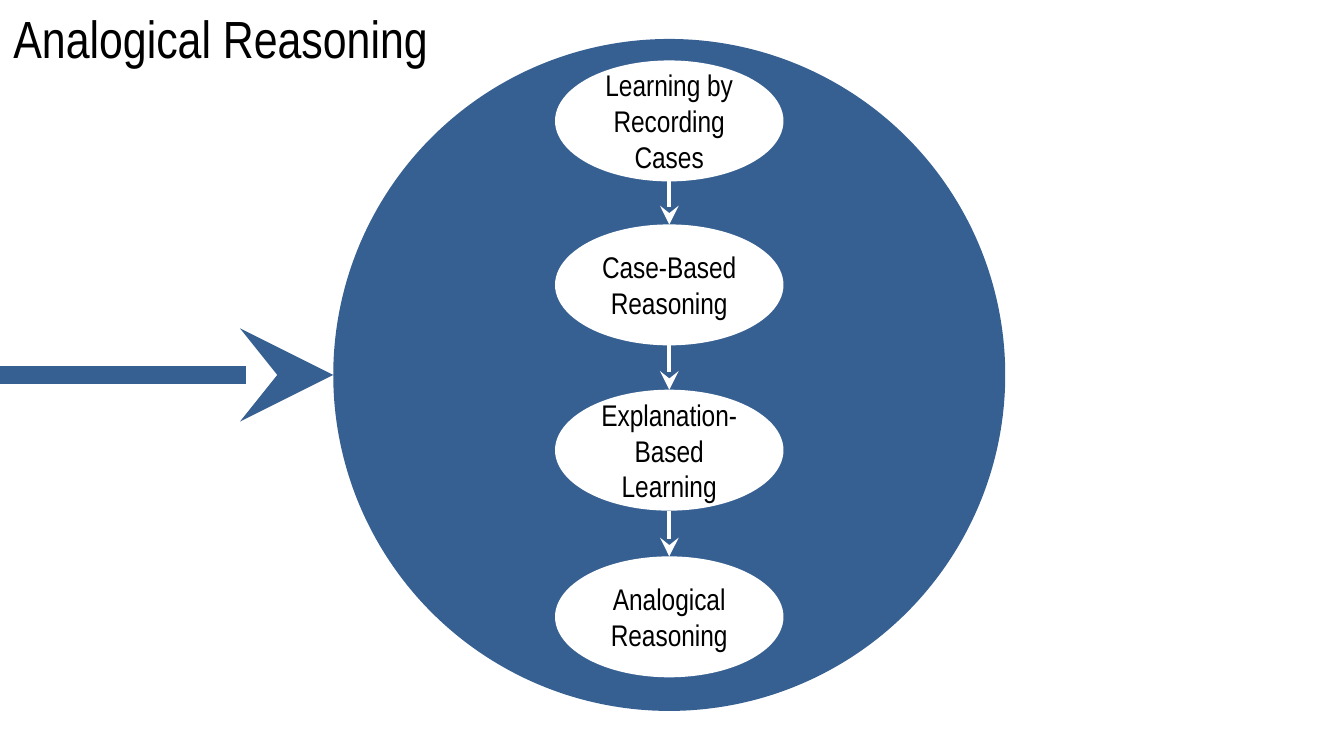
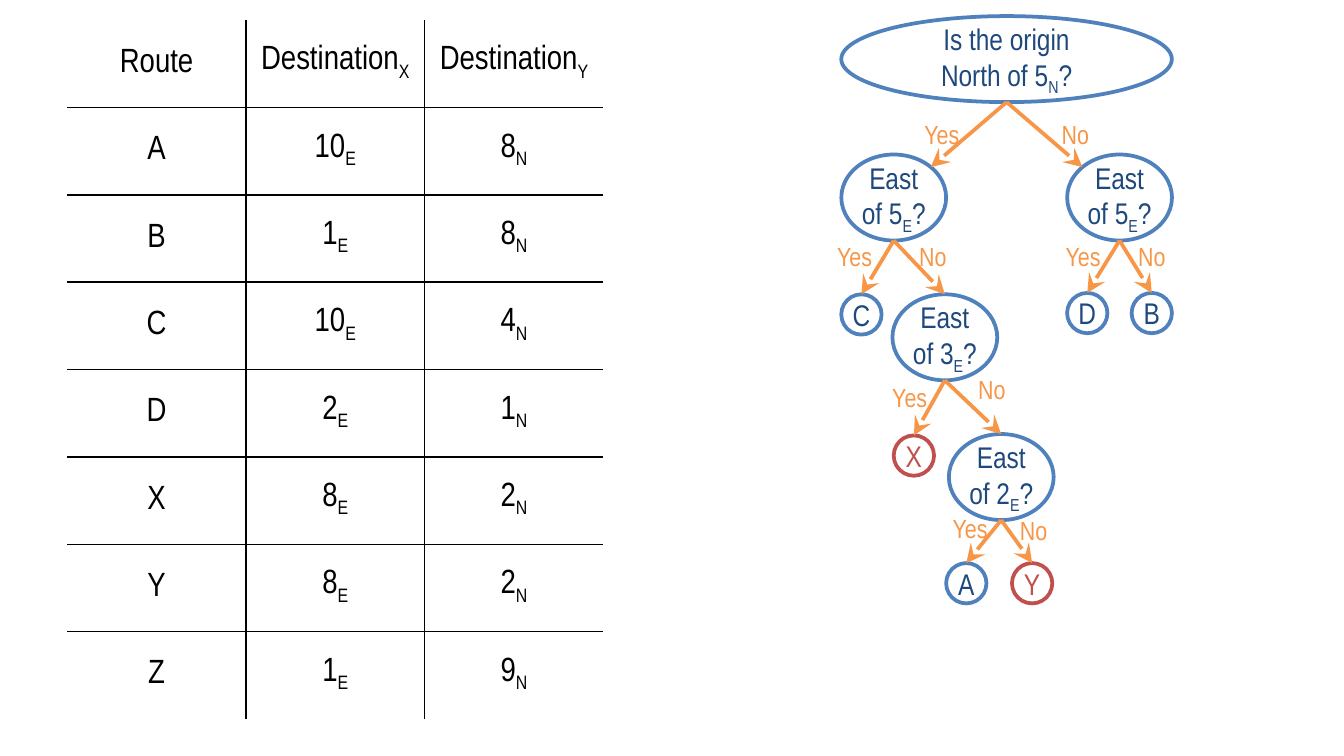
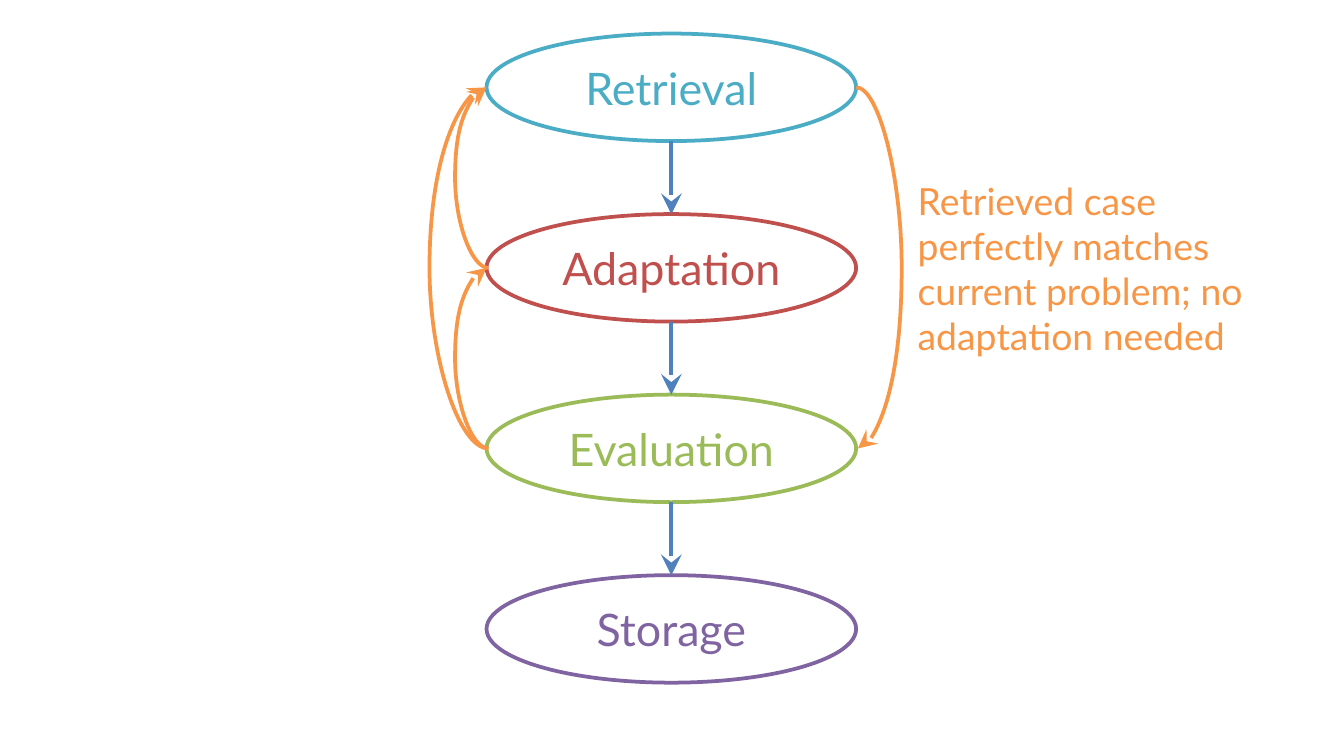
from dataclasses import dataclass
from math import sqrt

from lxml.etree import SubElement
from pptx import Presentation
from pptx.dml.color import RGBColor
from pptx.enum.shapes import MSO_CONNECTOR, MSO_SHAPE
from pptx.enum.text import MSO_ANCHOR, MSO_AUTO_SIZE, PP_ALIGN
from pptx.oxml.ns import qn
from pptx.util import Inches, Pt


# Theme
@dataclass(frozen=True)
class Theme:
    narrow: str = "Arial Narrow"
    sans: str = "Lato"
    black: str = "000000"
    white: str = "FFFFFF"
    navy: str = "376092"
    ink: str = "1F497D"
    blue: str = "4F81BD"
    red: str = "C0504D"
    orange: str = "F79646"
    teal: str = "4BACC6"
    green: str = "9BBB59"
    purple: str = "8064A2"
    title_size: int = 28
    stage_size: int = 24
    note_size: int = 20
    table_size: int = 18
    node_size: int = 16
    label_size: int = 14
    outline: float = 2
    subscript: int = -25000


THEME = Theme()

# Content; "_" lowers the one character after it
TITLE = "Analogical Reasoning"
TOPICS = [("Learning by Recording Cases", 0.45), ("Case-Based Reasoning", 1.67),
          ("Explanation-Based Learning", 2.9), ("Analogical Reasoning", 4.14)]

ROUTES = [
    ("Route", "Destination_X", "Destination_Y"),
    ("A", "10_E", "8_N"),
    ("B", "1_E", "8_N"),
    ("C", "10_E", "4_N"),
    ("D", "2_E", "1_N"),
    ("X", "8_E", "2_N"),
    ("Y", "8_E", "2_N"),
    ("Z", "1_E", "9_N"),
]

ROOT, QUESTION, LEAF = (2.46, 0.64), (0.78, 0.64), (0.3, 0.3)
# name: (paragraphs, size, left, top, line colour, text colour)
TREE_NODES = {
    "root": (["Is the origin", "North of 5_N?"], ROOT, 6.26, 0.12, THEME.blue, THEME.ink),
    "north": (["East of 5_E?"], QUESTION, 6.26, 1.15, THEME.blue, THEME.ink),
    "south": (["East of 5_E?"], QUESTION, 7.94, 1.15, THEME.blue, THEME.ink),
    "east 3": (["East of 3_E?"], QUESTION, 6.64, 2.19, THEME.blue, THEME.ink),
    "east 2": (["East of 2_E?"], QUESTION, 7.06, 3.23, THEME.blue, THEME.ink),
    "A": (["A"], LEAF, 7.04, 4.19, THEME.blue, THEME.ink),
    "B": (["B"], LEAF, 8.42, 2.18, THEME.blue, THEME.ink),
    "C": (["C"], LEAF, 6.26, 2.19, THEME.blue, THEME.ink),
    "D": (["D"], LEAF, 7.94, 2.18, THEME.blue, THEME.ink),
    "X": (["X"], LEAF, 6.65, 3.24, THEME.red, THEME.red),
    "Y": (["Y"], LEAF, 7.53, 4.19, THEME.red, THEME.red),
}
# parent, child, side where the arrow enters (0 top, 1 right, -1 left), answer, label place
TREE_EDGES = [
    ("root", "north", 1, "Yes", 6.78, 0.83),
    ("root", "south", -1, "No", 7.8, 0.83),
    ("north", "C", 0, "Yes", 6.13, 1.74),
    ("north", "east 3", 0, "No", 6.74, 1.74),
    ("south", "D", 0, "Yes", 7.83, 1.74),
    ("south", "B", 0, "No", 8.37, 1.74),
    ("east 3", "X", 0, "Yes", 6.54, 2.79),
    ("east 3", "east 2", 0, "No", 7.18, 2.73),
    ("east 2", "A", 0, "Yes", 6.99, 3.76),
    ("east 2", "Y", 0, "No", 7.49, 3.78),
]
LABEL_WIDTHS = {"Yes": 0.46, "No": 0.41}

STAGES = [("Retrieval", THEME.teal), ("Adaptation", THEME.red),
          ("Evaluation", THEME.green), ("Storage", THEME.purple)]
# upper stage, lower stage, bend, whether the arrow goes back up on the left
STAGE_LOOPS = [(1, 2, 18, True), (0, 2, 31.8, True),
               (0, 2, 24.6, False), (0, 1, 18, True)]
NOTE = "Retrieved case perfectly matches current problem; no adaptation needed"


# Shared helpers
def rgb(color):
    return RGBColor.from_string(color)


def add_run(paragraph, text, font, size, color, lowered=False):
    run = paragraph.add_run()
    run.text = text
    run.font.name = font
    run.font.size = Pt(size)
    run.font.color.rgb = rgb(color)
    if lowered:
        run.font._element.set("baseline", str(THEME.subscript))


def write(frame, lines, font, size, color, align=PP_ALIGN.LEFT):
    for index, line in enumerate(lines):
        paragraph = frame.add_paragraph() if index else frame.paragraphs[0]
        paragraph.alignment = align
        first, *rest = line.split("_")
        add_run(paragraph, first, font, size, color)
        for part in rest:
            add_run(paragraph, part[0], font, size, color, lowered=True)
            if part[1:]:
                add_run(paragraph, part[1:], font, size, color)


def add_ellipse(slide, box, fill, line=None):
    shape = slide.shapes.add_shape(MSO_SHAPE.OVAL, *map(Inches, box))
    shape.shadow.inherit = False
    shape.fill.solid()
    shape.fill.fore_color.rgb = rgb(fill)
    if line:
        shape.line.color.rgb = rgb(line)
        shape.line.width = Pt(THEME.outline)
    else:
        shape.line.fill.background()
    return shape


def add_node(slide, box, lines, font, size, color, line=None):
    frame = add_ellipse(slide, box, THEME.white, line).text_frame
    frame.margin_left = frame.margin_right = frame.margin_top = frame.margin_bottom = 0
    frame.vertical_anchor = MSO_ANCHOR.MIDDLE
    frame.word_wrap = True
    write(frame, lines, font, size, color, PP_ALIGN.CENTER)


def add_arrow(slide, start, end, color, width, head="lg", kind=MSO_CONNECTOR.STRAIGHT):
    connector = slide.shapes.add_connector(kind, *map(Inches, (*start, *end)))
    connector.line.color.rgb = rgb(color)
    connector.line.width = Pt(width)
    properties = connector.element.spPr
    SubElement(properties.find(qn("a:ln")), qn("a:tailEnd"),
               type="stealth", w=head, len=head)
    SubElement(properties, qn("a:effectLst"))
    return connector


def add_loop(slide, left, top, bottom, bend, upward):
    thin = 1 / 72  # the bend is a multiple of this width
    connector = add_arrow(slide, (left, top), (left + thin, bottom), THEME.orange,
                          THEME.outline, kind=MSO_CONNECTOR.CURVE)
    properties = connector.element.spPr
    if upward:
        properties.find(qn("a:xfrm")).set("rot", str(180 * 60000))
    geometry = properties.find(qn("a:prstGeom"))
    guides = geometry.find(qn("a:avLst"))
    if guides is None:
        guides = SubElement(geometry, qn("a:avLst"))
    SubElement(guides, qn("a:gd"), name="adj1", fmla=f"val {round(bend * 100000)}")


def add_text(slide, box, text, font, size, color, wrap):
    frame = slide.shapes.add_textbox(*map(Inches, box)).text_frame
    frame.word_wrap = wrap
    frame.auto_size = MSO_AUTO_SIZE.SHAPE_TO_FIT_TEXT
    write(frame, [text], font, size, color)


def set_border(cell, side, visible):
    line = SubElement(cell._tc.get_or_add_tcPr(), qn(f"a:ln{side}"), w=str(Pt(1)))
    if visible:
        fill = SubElement(line, qn("a:solidFill"))
        SubElement(fill, qn("a:srgbClr"), val=THEME.black)
    else:
        SubElement(line, qn("a:noFill"))


presentation = Presentation()
presentation.slide_width = Inches(10)
presentation.slide_height = Inches(10) * 9 // 16
title_layout, blank_layout = presentation.slide_layouts[5], presentation.slide_layouts[6]

# Slide 1: topics in a circle
slide = presentation.slides.add_slide(title_layout)
title = slide.shapes.title
title.left, title.top, title.width, title.height = map(Inches, (0, 0, 3.51, 0.57))
title.text_frame.vertical_anchor = MSO_ANCHOR.TOP
title.text_frame.auto_size = MSO_AUTO_SIZE.NONE
write(title.text_frame, [TITLE], THEME.narrow, THEME.title_size, THEME.black)

add_ellipse(slide, (2.48, 0.29, 5, 5), THEME.navy)
add_arrow(slide, (0, 2.79), (2.48, 2.79), THEME.navy, 10)
center, width, height = 4.98, 1.7, 0.9
for topic, top in TOPICS:
    add_node(slide, (center - width / 2, top, width, height), [topic],
             THEME.narrow, THEME.node_size, THEME.black)
for (_, top), (_, next_top) in zip(TOPICS, TOPICS[1:]):
    add_arrow(slide, (center, top + height), (center, next_top),
              THEME.white, THEME.outline)

# Slide 2: route table
slide = presentation.slides.add_slide(blank_layout)
rows, columns = len(ROUTES), len(ROUTES[0])
table = slide.shapes.add_table(rows, columns, Inches(0.5), Inches(0.15),
                               Inches(1.33 * columns), Inches(0.65 * rows)).table
table.first_row = table.horz_banding = False
for row, values in enumerate(ROUTES):
    for column, value in enumerate(values):
        cell = table.cell(row, column)
        cell.vertical_anchor = MSO_ANCHOR.MIDDLE
        write(cell.text_frame, [value], THEME.narrow, THEME.table_size,
              THEME.black, PP_ALIGN.CENTER)
        set_border(cell, "L", column > 0)
        set_border(cell, "R", column < columns - 1)
        set_border(cell, "T", row > 0)
        set_border(cell, "B", row < rows - 1)
        cell.fill.background()

# Slide 2: decision tree
for lines, (width, height), left, top, line, color in TREE_NODES.values():
    add_node(slide, (left, top, width, height), lines,
             THEME.narrow, THEME.node_size, color, line)
for parent, child, side, answer, label_left, label_top in TREE_EDGES:
    _, (width, height), left, top, *_ = TREE_NODES[parent]
    start = (left + width / 2, top + height)
    _, (width, height), left, top, *_ = TREE_NODES[child]
    rise = sqrt(0.5) if side else 1
    end = (left + width / 2 * (1 + side * sqrt(0.5)), top + height / 2 * (1 - rise))
    add_arrow(slide, start, end, THEME.orange, THEME.outline)
    add_text(slide, (label_left, label_top, LABEL_WIDTHS[answer], 0.34), answer,
             THEME.narrow, THEME.label_size, THEME.orange, wrap=False)

# Slide 3: stages of the cycle
slide = presentation.slides.add_slide(blank_layout)
left, width, height = 3.62, 2.75, 0.8
first_top, last_top = 0.25, 4.28
pitch = (last_top - first_top) / (len(STAGES) - 1)
tops = [first_top + index * pitch for index in range(len(STAGES))]
for (name, color), top in zip(STAGES, tops):
    add_node(slide, (left, top, width, height), [name],
             THEME.sans, THEME.stage_size, color, color)
for top, next_top in zip(tops, tops[1:]):
    add_arrow(slide, (left + width / 2, top + height), (left + width / 2, next_top),
              THEME.blue, 2.25)
for upper, lower, bend, upward in STAGE_LOOPS:
    add_loop(slide, left if upward else left + width, tops[upper] + height / 2,
             tops[lower] + height / 2, bend, upward)
add_text(slide, (6.73, 1.28, 3.1, 1.45), NOTE, THEME.sans, THEME.note_size,
         THEME.orange, wrap=True)

presentation.save("out.pptx")
